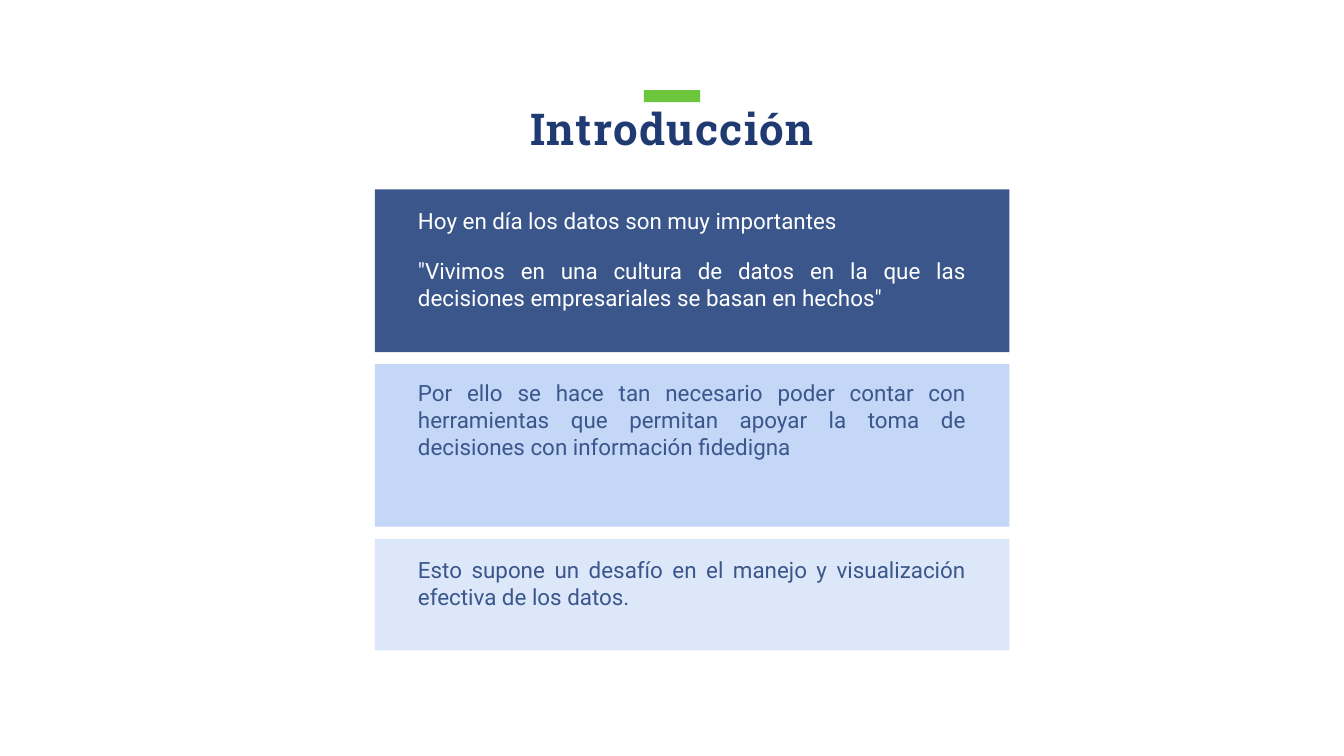
from dataclasses import dataclass

from lxml.etree import SubElement
from pptx import Presentation
from pptx.dml.color import RGBColor
from pptx.enum.shapes import MSO_SHAPE
from pptx.enum.text import MSO_AUTO_SIZE, PP_ALIGN
from pptx.oxml.ns import qn
from pptx.util import Inches, Pt


@dataclass(frozen=True)
class Theme:
    navy: str = "1F3B72"
    blue: str = "3A568B"
    sky: str = "BAD0F6"
    pale: str = "DCE7FA"
    green: str = "6DC53B"
    white: str = "FFFFFF"
    head: str = "Roboto Slab"
    body: str = "Roboto"
    head_size: float = 23.5
    body_size: float = 12
    gap: float = 12.5


THEME = Theme()


def add_rect(slide, box, color, alpha=None):
    rect = slide.shapes.add_shape(MSO_SHAPE.RECTANGLE, *map(Inches, box))
    rect.shadow.inherit = False
    rect.line.fill.background()
    rect.fill.solid()
    rect.fill.fore_color.rgb = RGBColor.from_string(color)
    if alpha:
        tint = rect._element.spPr.find(".//" + qn("a:srgbClr"))
        SubElement(tint, qn("a:alpha"), val=str(alpha * 1000))


def add_text(slide, box, lines, face, size, color, align, bold=False):
    frame = slide.shapes.add_textbox(*map(Inches, box)).text_frame
    frame.word_wrap = True
    frame.auto_size = MSO_AUTO_SIZE.SHAPE_TO_FIT_TEXT
    frame.margin_left = frame.margin_right = 0
    frame.margin_top = frame.margin_bottom = 0
    for i, line in enumerate(lines):
        para = frame.paragraphs[0] if i == 0 else frame.add_paragraph()
        para.text = line
        para.alignment = align
        if i:
            para.space_before = Pt(THEME.gap)
        para.font.name = face
        para.font.size = Pt(size)
        para.font.bold = bold
        para.font.color.rgb = RGBColor.from_string(color)
    return frame


def add_title(slide, box, text):
    left, top, width, height = box
    # Accent bar centred above the title
    bar = 0.42
    add_rect(slide, (left + (width - bar) / 2, top, bar, 0.09), THEME.green)
    frame = add_text(slide, (left, top + 0.15, width, height - 0.15), [text],
                     THEME.head, THEME.head_size, THEME.navy,
                     PP_ALIGN.CENTER, bold=True)
    para = frame.paragraphs[0]
    para.line_spacing = Pt(THEME.head_size)
    # Letter spacing in hundredths of a point
    para.runs[0]._r.get_or_add_rPr().set("spc", "70")


def add_card(slide, box, lines, fill, ink, inset, tall, alpha=None):
    left, top, width, height = box
    add_rect(slide, box, fill, alpha)
    add_text(slide, (left + 0.32, top + inset, width - 0.64, tall), lines,
             THEME.body, THEME.body_size, ink, PP_ALIGN.JUSTIFY)


def add_stack(slide, box, cards, gap):
    left, top, width, height = box
    # The last card takes the height that is left
    each = 1.21
    for i, card in enumerate(cards):
        y = top + i * (each + gap)
        add_card(slide, (left, y, width, min(each, top + height - y)), **card)


def main():
    deck = Presentation()
    deck.slide_width = Inches(10)
    deck.slide_height = deck.slide_width * 9 // 16
    slide = deck.slides.add_slide(deck.slide_layouts[6])

    add_title(slide, (2.5, 0.67, 5, 0.49), "Introducción")

    cards = [
        dict(lines=["Hoy en día los datos son muy importantes",
                    '"Vivimos en una cultura de datos en la que las '
                    'decisiones empresariales se basan en hechos"'],
             fill=THEME.blue, ink=THEME.white, inset=0.13, tall=0.97),
        dict(lines=["Por ello se hace tan necesario poder contar con "
                    "herramientas que permitan apoyar la toma de "
                    "decisiones con información fidedigna"],
             fill=THEME.sky, ink=THEME.blue, inset=0.11, tall=0.79, alpha=85),
        dict(lines=["Esto supone un desafío en el manejo y visualización "
                    "efectiva de los datos."],
             fill=THEME.pale, ink=THEME.blue, inset=0.13, tall=0.59),
    ]
    add_stack(slide, (2.79, 1.41, 4.72, 3.43), cards, 0.09)

    deck.save("out.pptx")


if __name__ == "__main__":
    main()
